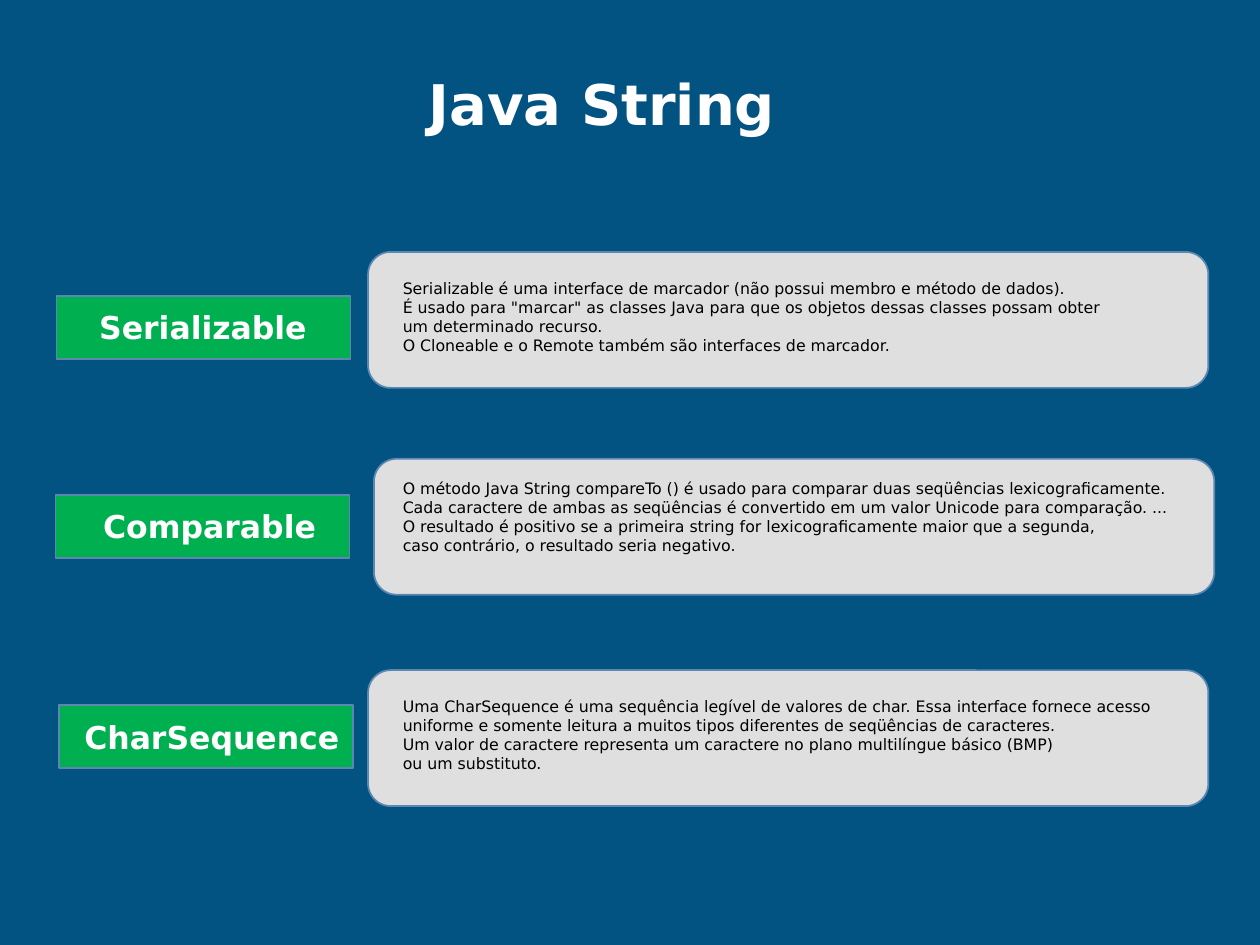
"""Build a slide on the three interfaces of the Java String class."""
from pptx import Presentation
from pptx.dml.color import RGBColor
from pptx.enum.shapes import MSO_SHAPE as Kind
from pptx.enum.text import MSO_ANCHOR as Anchor, MSO_AUTO_SIZE as Fit, PP_ALIGN as Align
from pptx.util import Cm, Pt

NAVY = RGBColor(0x02, 0x53, 0x82)
GREEN = RGBColor(0x00, 0xB0, 0x50)
GREY = RGBColor(0xDF, 0xDF, 0xDF)
EDGE = RGBColor(0x5C, 0x87, 0xB1)
WHITE = RGBColor(0xFF, 0xFF, 0xFF)
BLACK = RGBColor(0x00, 0x00, 0x00)
FONT = "DejaVu Sans"

TITLE = "Java String"
ROWS = [
    dict(name="Serializable", tag=(1.14, 5.97), label=(1.75, 4.8),
         card=(7.42, 5.08), top=5.49, lines=[
             "Serializable é uma interface de marcador (não possui membro e método de dados).",
             "É usado para \"marcar\" as classes Java para que os objetos dessas classes possam obter",
             "um determinado recurso.",
             "O Cloneable e o Remote também são interfaces de marcador."]),
    dict(name="Comparable", tag=(1.12, 9.98), label=(1.83, 4.9),
         card=(7.54, 9.25), top=9.52, lines=[
             "O método Java String compareTo () é usado para comparar duas seqüências lexicograficamente.",
             "Cada caractere de ambas as seqüências é convertido em um valor Unicode para comparação. ...",
             "O resultado é positivo se a primeira string for lexicograficamente maior que a segunda,",
             "caso contrário, o resultado seria negativo."]),
    dict(name="CharSequence", tag=(1.19, 14.22), label=(1.45, 5.9),
         card=(7.42, 13.51), top=13.92, lines=[
             "Uma CharSequence é uma sequência legível de valores de char. Essa interface fornece acesso",
             "uniforme e somente leitura a muitos tipos diferentes de seqüências de caracteres.",
             "Um valor de caractere representa um caractere no plano multilíngue básico (BMP)",
             "ou um substituto."]),
]
TAG = (5.93, 1.27)
CARD = (16.94, 2.74)
LEFT, WIDE, TALL = 7.87, 16.3, 1.8
DROP = 0.12


def add_box(slide, kind, spot, size, fill):
    box = slide.shapes.add_shape(kind, *map(Cm, spot + size))
    box.shadow.inherit = False
    box.fill.solid()
    box.fill.fore_color.rgb = fill
    box.line.color.rgb = EDGE
    box.line.width = Pt(1)


def add_text(slide, area, text, size, color, bold=False):
    frame = slide.shapes.add_textbox(*map(Cm, area)).text_frame
    frame.word_wrap = True
    frame.auto_size = Fit.SHAPE_TO_FIT_TEXT
    frame.text = text
    for para in frame.paragraphs:
        for run in para.runs:
            run.font.name = FONT
            run.font.size = Pt(size)
            run.font.bold = bold
            run.font.color.rgb = color
    return frame


def main():
    deck = Presentation()
    deck.slide_width, deck.slide_height = Cm(25.4), Cm(19.05)
    slide = deck.slides.add_slide(deck.slide_layouts[6])
    slide.background.fill.solid()
    slide.background.fill.fore_color.rgb = NAVY

    head = add_text(slide, (2.64, 1.37, 19, 1.4), TITLE, 32, WHITE, bold=True)
    head.margin_left = head.margin_right = head.margin_top = head.margin_bottom = 0
    head.vertical_anchor = Anchor.MIDDLE
    head.paragraphs[0].alignment = Align.CENTER

    for row in ROWS:
        add_box(slide, Kind.RECTANGLE, row["tag"], TAG, GREEN)
        left, width = row["label"]
        area = (left, row["tag"][1] + DROP, width, 1.02)
        add_text(slide, area, row["name"], 18, WHITE, bold=True)
        add_box(slide, Kind.ROUNDED_RECTANGLE, row["card"], CARD, GREY)
        area = (LEFT, row["top"], WIDE, TALL)
        add_text(slide, area, "\n".join(row["lines"]), 9, BLACK)

    deck.save("out.pptx")


if __name__ == "__main__":
    main()
